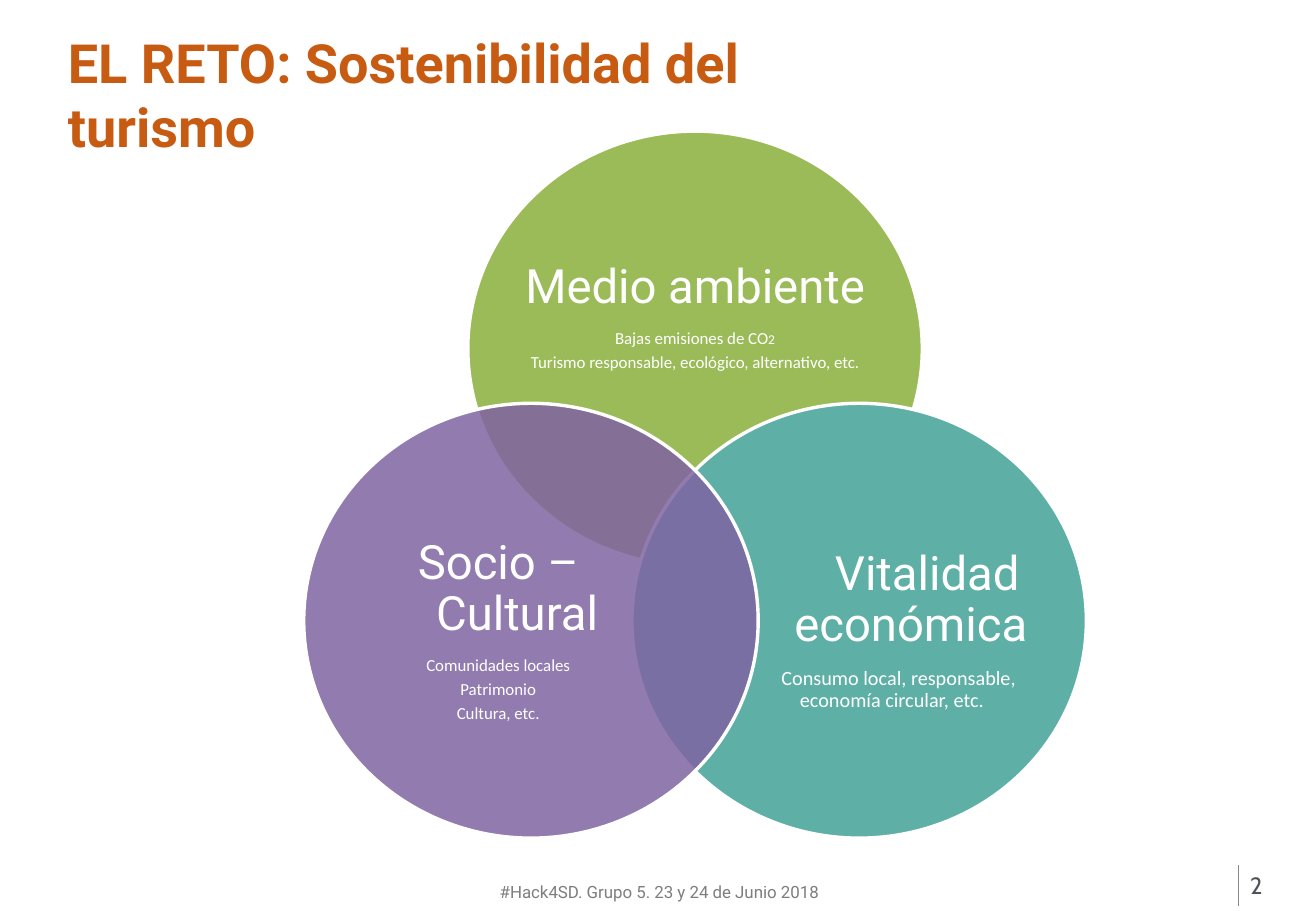
from dataclasses import dataclass

import pptx
import pptx.dml.color
import pptx.enum.shapes
import pptx.enum.text
import pptx.oxml.ns
import pptx.oxml.xmlchemy
import pptx.util
from lxml import etree

Align = pptx.enum.text.PP_ALIGN
Anchor = pptx.enum.text.MSO_ANCHOR


@dataclass(frozen=True)
class Theme:
    heading_font: str = "Roboto"
    body_font: str = "Calibri"
    number_font: str = "Cabin"
    title: str = "C75B12"
    footer: str = "7E7E7E"
    number: str = "4D5357"
    rule: str = "898989"
    light: str = "FFFFFF"
    environment: str = "9BBB59"
    economy: str = "5EAFA6"
    culture: str = "8064A2"
    title_size: int = 32
    heading_size: int = 28
    number_size: int = 14
    large_size: int = 12
    small_size: int = 10
    digit_size: int = 8
    outline: float = 2
    hairline: float = 0.75
    line_spacing: float = 0.9
    space_share: float = 0.35


@dataclass(frozen=True)
class Box:
    left: float
    top: float
    width: float
    height: float

    def inset(self, padding: tuple[float, float, float, float]) -> "Box":
        left, top, right, bottom = (share / 100 for share in padding)
        return Box(
            self.left + left * self.width,
            self.top + top * self.height,
            self.width * (1 - left - right),
            self.height * (1 - top - bottom),
        )


@dataclass(frozen=True)
class Line:
    text: str
    size: int
    font: str
    margin: float = 0
    indent: float = 0
    digit: str = ""


@dataclass(frozen=True)
class Circle:
    column: int
    row: int
    color: str
    padding: tuple[float, float, float, float]
    lines: tuple[Line, ...]
    opacity: int = 100


@dataclass(frozen=True)
class Label:
    text: str
    box: Box
    size: int
    font: str
    color: str
    align: Align = Align.LEFT
    anchor: Anchor = Anchor.TOP
    bold: bool = False


THEME = Theme()
WIDTH = pptx.util.Inches(10.83)
HEIGHT = pptx.util.Inches(7.5)
CIRCLE_WIDTH, CIRCLE_HEIGHT = 34.53, 47.73
FIRST_LEFT, FIRST_TOP = 23.08, 14.4
COLUMN_STEP, ROW_STEP = 12.47, 29.87
HANGING = 2.86

LABELS = (
    Label("#Hack4SD. Grupo 5. 23 y 24 de Junio 2018", Box(36.93, 96.13, 26.32, 3.6),
          THEME.small_size, THEME.heading_font, THEME.footer, Align.CENTER),
    Label("2", Box(94.09, 94.53, 5.91, 5.33), THEME.number_size, THEME.number_font,
          THEME.number, anchor=Anchor.MIDDLE),
    Label("EL RETO: Sostenibilidad del turismo", Box(4.25, 2.53, 57.71, 8.53),
          THEME.title_size, THEME.heading_font, THEME.title, bold=True),
)


def heading(text: str, indent: float = -HANGING) -> Line:
    return Line(text, THEME.heading_size, THEME.heading_font, HANGING, indent)


def detail(text: str, size: int = THEME.small_size, indent: float = 0, digit: str = "") -> Line:
    return Line(text, size, THEME.body_font, 0, indent, digit)


CIRCLES = (
    Circle(1, 0, THEME.environment, (9.09, 12.57, 9.09, 26.82), (
        heading("Medio ambiente"),
        detail("Bajas emisiones de CO", digit="2"),
        detail("Turismo responsable, ecológico, alternativo, etc."),
    )),
    Circle(2, 1, THEME.economy, (20.86, 18.44, 6.42, 13.69), (
        heading("Vitalidad económica", indent=2.49),
        detail("Consumo local, responsable, economía circular, etc.", THEME.large_size, 1.02),
    )),
    Circle(0, 1, THEME.culture, (7.75, 18.44, 22.19, 13.69), (
        heading("Socio – Cultural"),
        detail("Comunidades locales"),
        detail("Patrimonio"),
        detail("Cultura, etc."),
    ), opacity=85),
)


def across(share: float) -> int:
    return round(WIDTH * share / 100)


def down(share: float) -> int:
    return round(HEIGHT * share / 100)


def place(box: Box) -> tuple[int, int, int, int]:
    return across(box.left), down(box.top), across(box.width), down(box.height)


def rgb(color: str) -> pptx.dml.color.RGBColor:
    return pptx.dml.color.RGBColor.from_string(color)


def set_font(font, name: str, size: int, color: str, bold: bool = False) -> None:
    font.name = name
    font.size = pptx.util.Pt(size)
    font.color.rgb = rgb(color)
    font.bold = bold


def draw_label(slide, label: Label) -> None:
    frame = slide.shapes.add_textbox(*place(label.box)).text_frame
    frame.word_wrap = True
    frame.vertical_anchor = label.anchor
    paragraph = frame.paragraphs[0]
    paragraph.text = label.text
    paragraph.alignment = label.align
    set_font(paragraph.font, label.font, label.size, label.color, label.bold)


def write_line(paragraph, line: Line) -> None:
    paragraph.alignment = Align.CENTER
    paragraph.line_spacing = THEME.line_spacing
    paragraph.space_after = pptx.util.Pt(line.size * THEME.space_share)
    properties = paragraph._p.get_or_add_pPr()
    properties.set("marL", str(across(line.margin)))
    properties.set("indent", str(across(line.indent)))
    set_font(paragraph.font, line.font, line.size, THEME.light)
    paragraph.add_run().text = line.text
    if line.digit:
        run = paragraph.add_run()
        run.text = line.digit
        run.font.size = pptx.util.Pt(THEME.digit_size)


def draw_circle(slide, circle: Circle) -> None:
    box = Box(FIRST_LEFT + circle.column * COLUMN_STEP, FIRST_TOP + circle.row * ROW_STEP,
              CIRCLE_WIDTH, CIRCLE_HEIGHT)
    shape = slide.shapes.add_shape(pptx.enum.shapes.MSO_SHAPE.OVAL, *place(box))
    shape.shadow.inherit = False
    shape.fill.solid()
    shape.fill.fore_color.rgb = rgb(circle.color)
    shape.line.color.rgb = rgb(THEME.light)
    shape.line.width = pptx.util.Pt(THEME.outline)
    if circle.opacity < 100:
        color = shape._element.spPr.find("./" + pptx.oxml.ns.qn("a:solidFill"))[0]
        etree.SubElement(color, pptx.oxml.ns.qn("a:alpha"), val=str(circle.opacity * 1000))
    frame = slide.shapes.add_textbox(*place(box.inset(circle.padding))).text_frame
    frame.word_wrap = True
    frame.vertical_anchor = Anchor.MIDDLE
    frame.margin_left = frame.margin_right = frame.margin_top = frame.margin_bottom = 0
    for index, line in enumerate(circle.lines):
        write_line(frame.add_paragraph() if index else frame.paragraphs[0], line)


def draw_rule(slide) -> None:
    rule = slide.shapes.add_connector(
        pptx.enum.shapes.MSO_CONNECTOR.STRAIGHT,
        across(94.09), down(94.93), across(94.09), down(99.47))
    rule.line.color.rgb = rgb(THEME.rule)
    rule.line.width = pptx.util.Pt(THEME.hairline)
    etree.SubElement(rule._element.spPr, pptx.oxml.ns.qn("a:effectLst"))


def main() -> None:
    presentation = pptx.Presentation()
    presentation.slide_width, presentation.slide_height = WIDTH, HEIGHT
    slide = presentation.slides.add_slide(presentation.slide_layouts[6])
    for label in LABELS:
        draw_label(slide, label)
    draw_rule(slide)
    for circle in CIRCLES:
        draw_circle(slide, circle)
    presentation.save("out.pptx")


if __name__ == "__main__":
    main()
